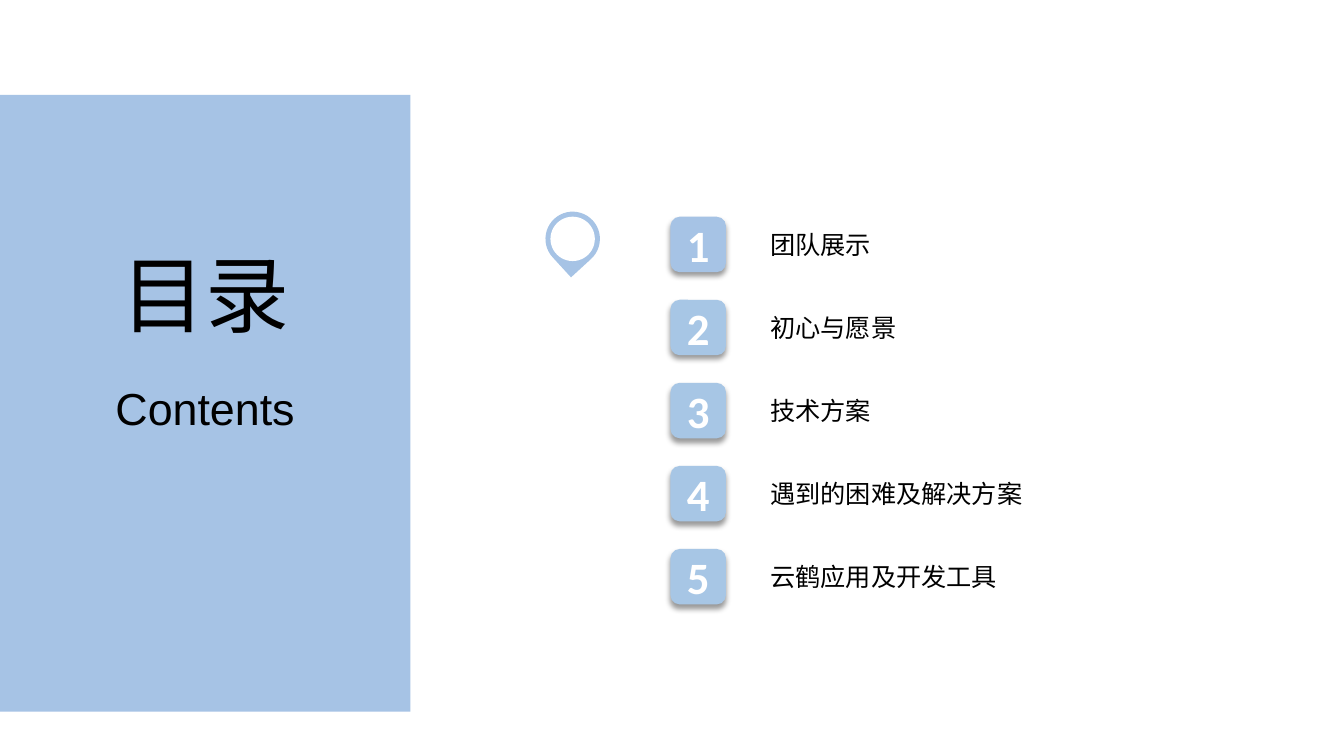
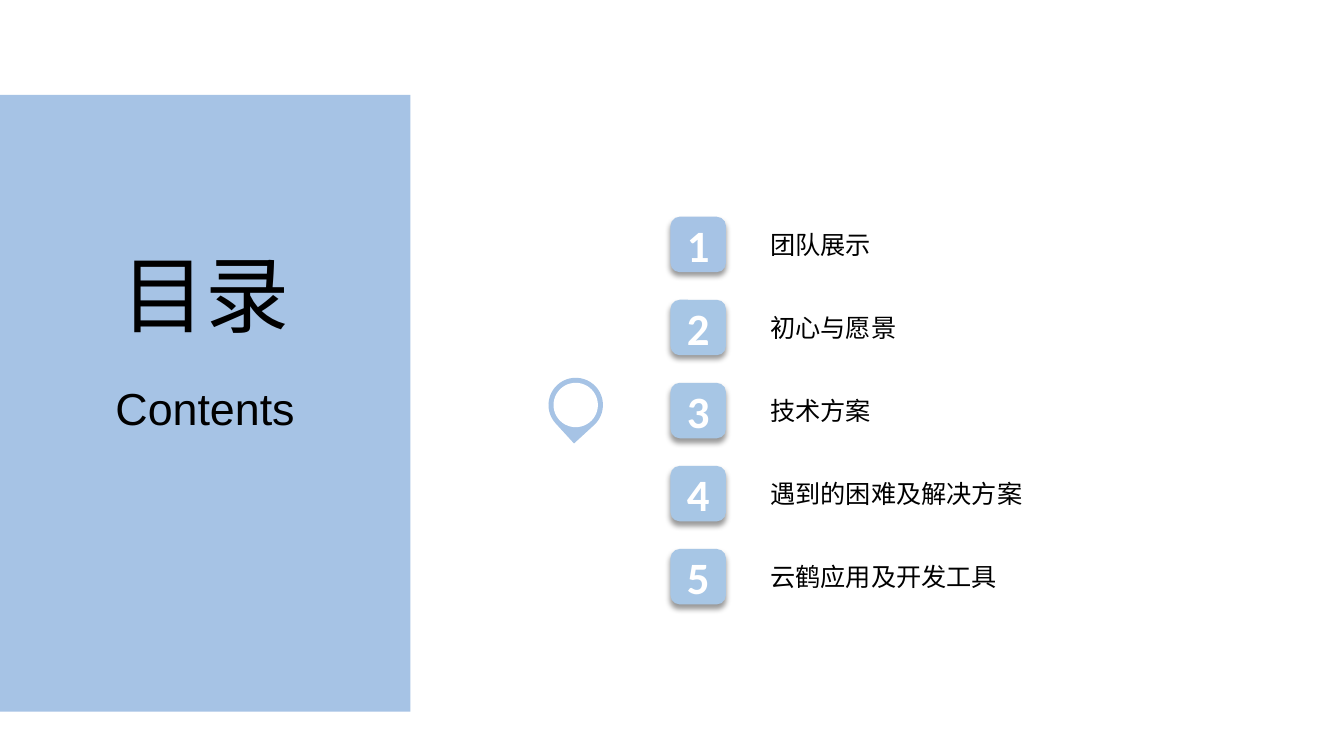
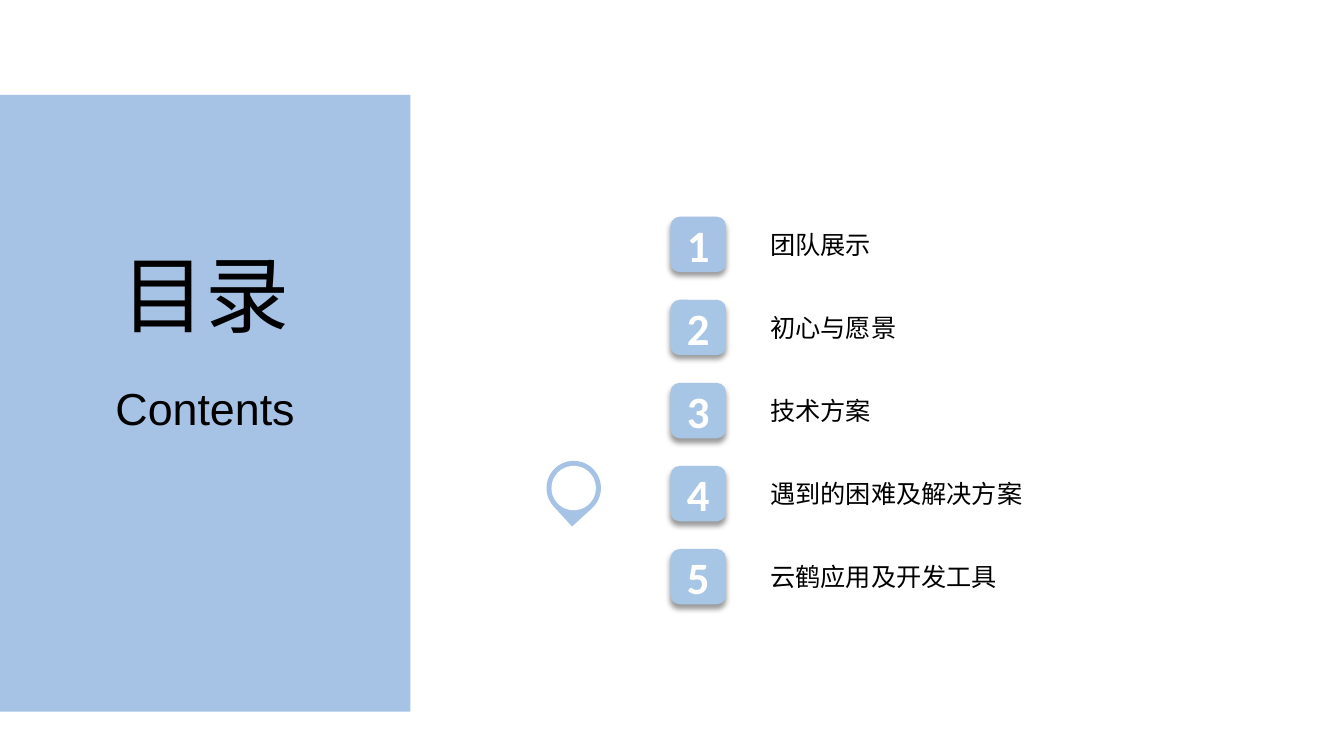
from collections import namedtuple

from lxml import etree
from pptx import Presentation
from pptx.dml.color import RGBColor
from pptx.enum.shapes import MSO_SHAPE
from pptx.enum.text import MSO_ANCHOR, MSO_AUTO_SIZE, PP_ALIGN
from pptx.oxml.ns import qn
from pptx.util import Inches, Pt

RECTANGLE = MSO_SHAPE.RECTANGLE
ROUNDED = MSO_SHAPE.ROUNDED_RECTANGLE
TEARDROP = MSO_SHAPE.TEAR
OVAL = MSO_SHAPE.OVAL
CENTER = PP_ALIGN.CENTER
MIDDLE = MSO_ANCHOR.MIDDLE
TOP = MSO_ANCHOR.TOP
NO_FIT = MSO_AUTO_SIZE.NONE
FIT_SHAPE = MSO_AUTO_SIZE.SHAPE_TO_FIT_TEXT

BLUE = RGBColor(0xA6, 0xC3, 0xE5)
SKY = RGBColor(0xA7, 0xC6, 0xE5)
WHITE = RGBColor(0xFF, 0xFF, 0xFF)
BLACK = RGBColor(0, 0, 0)

CJK_FONT = "Noto Sans CJK SC"
LATIN_FONT = "Arial"
NUMBER_FONT = "Calibri"

Box = namedtuple("Box", "left top width height")

SLIDE_WIDTH, SLIDE_HEIGHT = 13.33, 7.5
PANEL = Box(0, 0.94, 4.07, 6.12)
AGENDA = Box(6.65, 2.15, 3.59, 4.12)
TOPICS = ["团队展示", "初心与愿景", "技术方案", "遇到的困难及解决方案", "云鹤应用及开发工具"]
ROW_HEIGHT = AGENDA.height / len(TOPICS)
BADGE_SIZE = 0.55
LABEL_OFFSET, LABEL_HEIGHT = 0.89, 0.4
CHARACTER_WIDTH, LABEL_PADDING = 0.25, 0.2
PIN_SIZE, PIN_RIM = 0.54, 0.05
CURRENT_TOPICS = [(0, 5.41), (2, 5.44), (3, 5.42)]


def place(box):
    return [Inches(length) for length in box]


def write(shape, text, *, font, size, color=BLACK, bold=False,
          wrap=False, anchor=TOP, fit=FIT_SHAPE):
    frame = shape.text_frame
    frame.text = text
    frame.word_wrap = wrap
    frame.auto_size = fit
    frame.vertical_anchor = anchor
    paragraph = frame.paragraphs[0]
    paragraph.alignment = CENTER
    run_font = paragraph.runs[0].font
    run_font.name = font
    run_font.size = Pt(size)
    run_font.bold = bold
    run_font.color.rgb = color
    latin = paragraph.runs[0].font._element.find(qn("a:latin"))
    east_asian = etree.Element(qn("a:ea"), typeface=font)
    latin.addnext(east_asian)


def add_filled(shapes, kind, box, color):
    shape = shapes.add_shape(kind, *place(box))
    shape.fill.solid()
    shape.fill.fore_color.rgb = color
    shape.line.fill.background()
    shape.shadow.inherit = False
    return shape


def cast_shadow(shape):
    effects = shape.element.spPr.find(qn("a:effectLst"))
    shadow = etree.SubElement(
        effects, qn("a:outerShdw"), blurRad=str(Pt(4)), dist=str(Pt(3)),
        dir="5400000", algn="t", rotWithShape="0")
    tint = etree.SubElement(shadow, qn("a:srgbClr"), val=str(BLACK))
    etree.SubElement(tint, qn("a:alpha"), val="40000")


def centered_in(box, offset, width, height):
    return Box(box.left + (box.width - width) / 2, box.top + offset, width, height)


def add_title_panel(slide, box):
    panel = add_filled(slide.shapes, RECTANGLE, box, BLUE)
    title = slide.shapes.title
    title.element.addprevious(panel.element)
    title.left, title.top, title.width, title.height = place(
        centered_in(box, 1.42, 1.87, 1.11))
    write(title, "目录", font=CJK_FONT, size=60)
    subtitle = slide.shapes.add_textbox(*place(centered_in(box, 2.79, 1.98, 0.64)))
    write(subtitle, "Contents", font=LATIN_FONT, size=32)


def add_agenda(slide, box):
    for row, topic in enumerate(TOPICS):
        top = box.top + row * ROW_HEIGHT
        badge = add_filled(slide.shapes, ROUNDED,
                           Box(box.left, top, BADGE_SIZE, BADGE_SIZE),
                           SKY if row else BLUE)
        cast_shadow(badge)
        write(badge, str(row + 1), font=NUMBER_FONT, size=32, color=WHITE,
              bold=True, wrap=True, anchor=MIDDLE, fit=NO_FIT)
        label_width = len(topic) * CHARACTER_WIDTH + LABEL_PADDING
        label_top = top + (BADGE_SIZE - LABEL_HEIGHT) / 2
        label = slide.shapes.add_textbox(*place(
            Box(box.left + LABEL_OFFSET, label_top, label_width, LABEL_HEIGHT)))
        write(label, topic, font=CJK_FONT, size=18)


def add_pin(slide, box):
    pin = slide.shapes.add_group_shape()
    drop = add_filled(pin.shapes, TEARDROP, box, BLUE)
    drop.rotation = 137.5
    hole = Box(box.left + PIN_RIM, box.top + PIN_RIM,
               box.width - 2 * PIN_RIM, box.height - 2 * PIN_RIM)
    add_filled(pin.shapes, OVAL, hole, WHITE)


def add_contents_slide(deck, current_row, pin_left):
    slide = deck.slides.add_slide(deck.slide_layouts[5])
    add_title_panel(slide, PANEL)
    add_agenda(slide, AGENDA)
    pin_top = AGENDA.top + current_row * ROW_HEIGHT - PIN_RIM
    add_pin(slide, Box(pin_left, pin_top, PIN_SIZE, PIN_SIZE))


def main():
    deck = Presentation()
    deck.slide_width = Inches(SLIDE_WIDTH)
    deck.slide_height = Inches(SLIDE_HEIGHT)
    for current_row, pin_left in CURRENT_TOPICS:
        add_contents_slide(deck, current_row, pin_left)
    deck.save("out.pptx")


if __name__ == "__main__":
    main()
